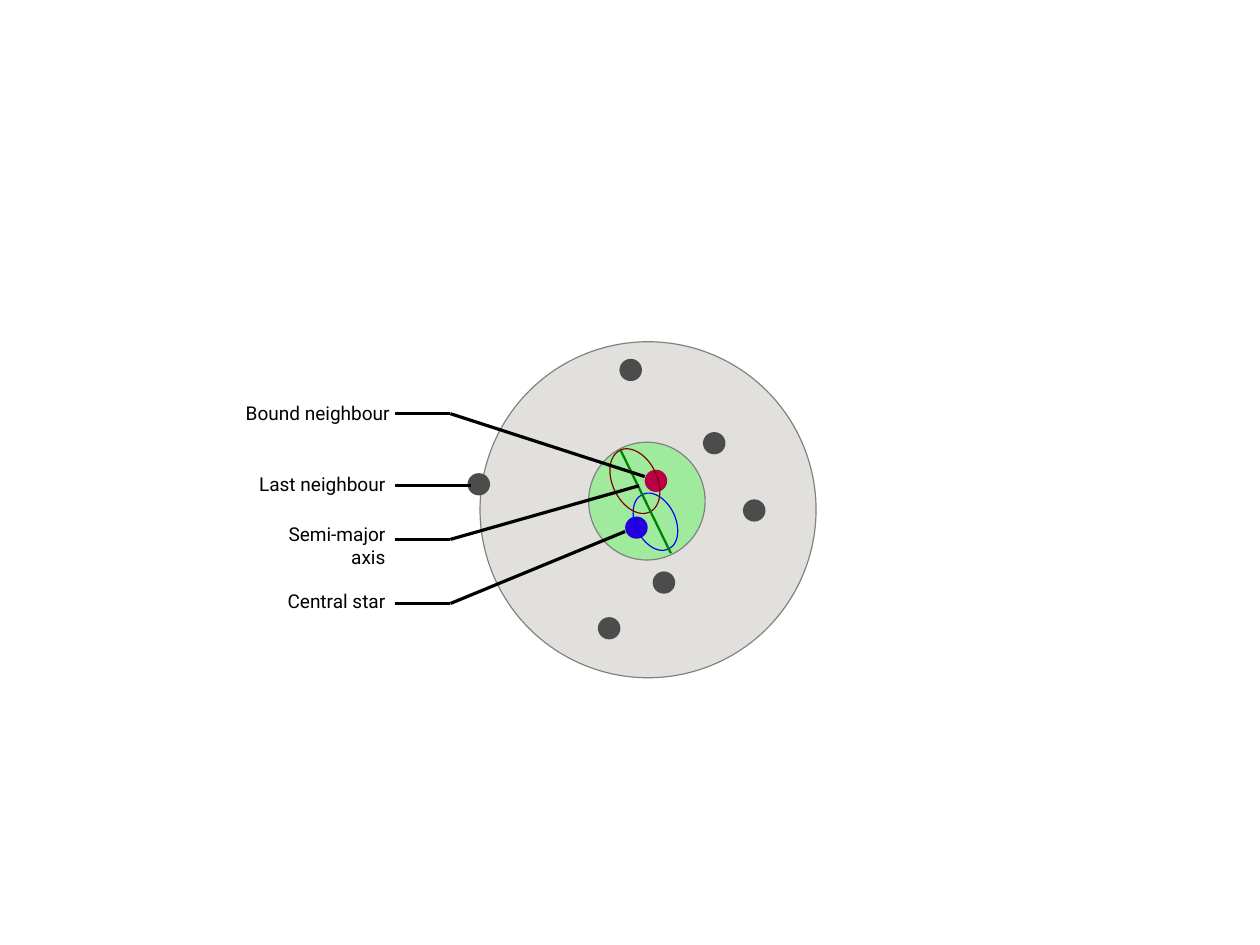
from itertools import pairwise
from lxml.etree import SubElement
from pptx import Presentation
from pptx.dml.color import RGBColor
from pptx.enum.shapes import MSO_CONNECTOR, MSO_SHAPE
from pptx.enum.text import MSO_AUTO_SIZE, PP_ALIGN
from pptx.oxml.ns import qn
from pptx.util import Pt

BLACK = RGBColor(0x00, 0x00, 0x00)
GREY = RGBColor(0x80, 0x80, 0x80)
DARK = RGBColor(0x4C, 0x4C, 0x4C)
SAND = RGBColor(0xAE, 0xA7, 0x9F)
LIME = RGBColor(0x23, 0xFF, 0x23)
GREEN = RGBColor(0x00, 0x80, 0x00)
STAR = RGBColor(0x23, 0x00, 0xDC)
BOUND = RGBColor(0xB8, 0x00, 0x47)
BLUE = RGBColor(0x00, 0x00, 0xFF)
MAROON = RGBColor(0x80, 0x00, 0x00)

WIDE, HIGH = 793.7, 595.3
DOT = (14.2, 14)
TILT = 334.3
OPAQUE = 35
START, BEND = 249.1, 283.7

ZONES = [
    ((302.4, 215.3, 211.7, 211.7), SAND),
    ((370.8, 278.6, 73.4, 74.2), LIME),
]
DOTS = [
    (393.8, 325.4, STAR),
    (406.1, 295.9, BOUND),
    (442.8, 272.2, DARK),
    (376.6, 388.8, DARK),
    (390.2, 226.1, DARK),
    (294.5, 298.1, DARK),
    (468, 314.6, DARK),
    (411.1, 360, DARK),
]
ORBITS = [
    ((400.3, 309.6, 25.2, 38.2), BLUE),
    ((385.9, 281.5, 28.1, 43.2), MAROON),
]
AXIS = [(391, 283.7), (422.6, 348.5)]
LEADERS = [
    [(START, 306), (296.6, 306)],
    [(START, 380.2), (BEND, 380.2), (393.8, 334.8)],
    [(START, 260.6), (BEND, 260.6), (406.1, 300.2)],
    [(START, 339.8), (BEND, 339.8), (402.5, 306)],
]
LABELS = [
    ("Last neighbour", (153.4, 293.8, 96.5, 23)),
    ("Bound neighbour", (144.7, 249.1, 108, 23)),
    ("Semi-major axis", (153.4, 325.4, 96.5, 23)),
    ("Central star", (153.4, 367.9, 96.5, 23)),
]
FRAME = {
    "word_wrap": True,
    "auto_size": MSO_AUTO_SIZE.SHAPE_TO_FIT_TEXT,
    "margin_left": Pt(7.2),
    "margin_right": Pt(7.2),
    "margin_top": Pt(3.6),
    "margin_bottom": Pt(3.6),
}
FONT = {"name": "Roboto", "size": Pt(12)}


def apply(item, form):
    for key, value in form.items():
        setattr(item, key, value)


def oval(slide, box, fill=None, edge=None, alpha=None, turn=0):
    shape = slide.shapes.add_shape(MSO_SHAPE.OVAL, *map(Pt, box))
    apply(shape, {"rotation": turn})
    shape.shadow.inherit = False
    if fill is None:
        shape.fill.background()
    else:
        shape.fill.solid()
        shape.fill.fore_color.rgb = fill
    if edge is None:
        shape.line.fill.background()
    else:
        shape.line.color.rgb = edge
        shape.line.width = Pt(0)
    if alpha:
        tone = shape._element.spPr.find(qn("a:solidFill"))[0]
        SubElement(tone, qn("a:alpha"), val=str(alpha * 1000))


def trace(slide, points, color, width=0):
    for start, end in pairwise(points):
        line = slide.shapes.add_connector(
            MSO_CONNECTOR.STRAIGHT, *map(Pt, start + end))
        line.line.color.rgb = color
        line.line.width = Pt(width)
        SubElement(line._element.spPr, qn("a:effectLst"))


def label(slide, text, box):
    frame = slide.shapes.add_textbox(*map(Pt, box)).text_frame
    apply(frame, FRAME)
    para = frame.paragraphs[0]
    para.alignment = PP_ALIGN.RIGHT
    run = para.add_run()
    run.text = text
    apply(run.font, FONT)
    run.font.color.rgb = BLACK


def main():
    deck = Presentation()
    apply(deck, {"slide_width": Pt(WIDE), "slide_height": Pt(HIGH)})
    slide = deck.slides.add_slide(deck.slide_layouts[6])
    for box, fill in ZONES:
        oval(slide, box, fill, GREY, OPAQUE)
    for left, top, fill in DOTS:
        oval(slide, (left, top, *DOT), fill)
    for box, edge in ORBITS:
        oval(slide, box, edge=edge, turn=TILT)
    trace(slide, AXIS, GREEN, 1.42)
    for points in LEADERS:
        trace(slide, points, BLACK)
    for text, box in LABELS:
        label(slide, text, box)
    deck.save("out.pptx")


if __name__ == "__main__":
    main()
